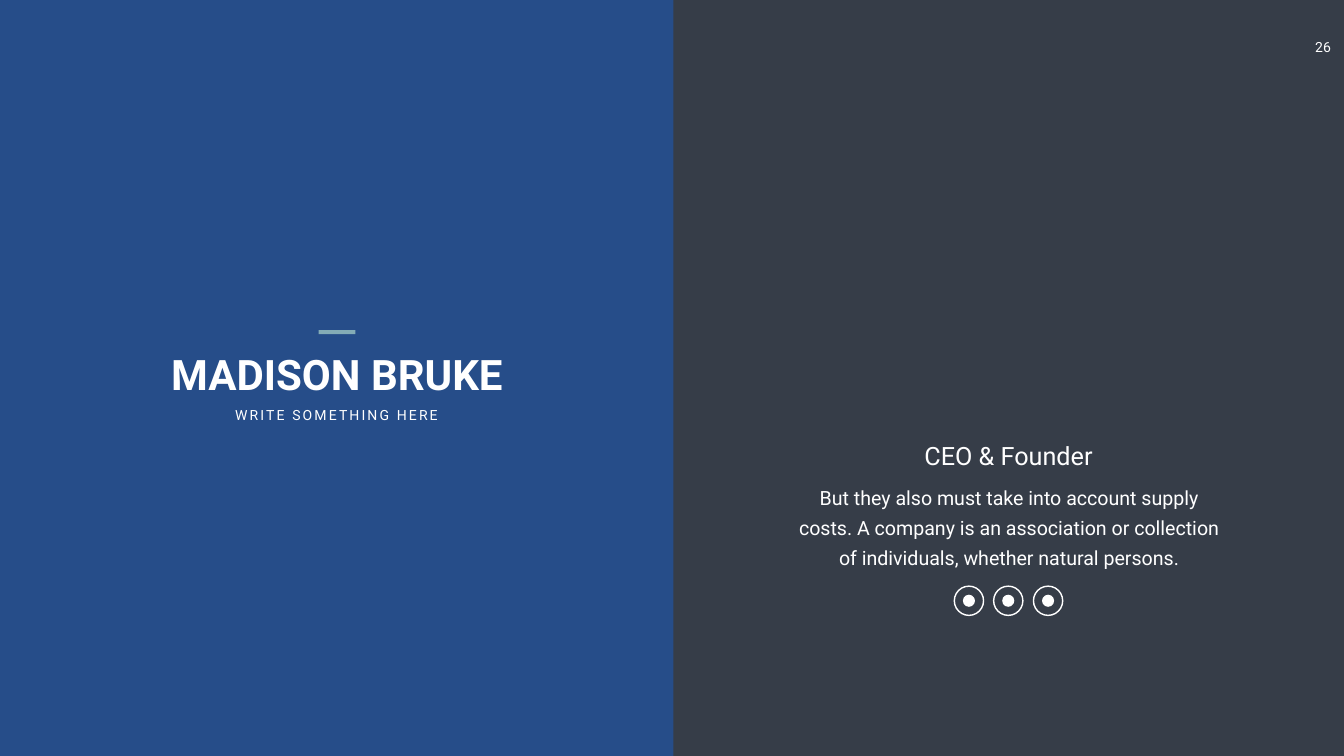
from dataclasses import dataclass

from pptx import Presentation
from pptx.dml.color import RGBColor
from pptx.enum.shapes import MSO_SHAPE as Preset
from pptx.enum.text import MSO_ANCHOR as Anchor, MSO_AUTO_SIZE as AutoSize, PP_ALIGN as Align
from pptx.shapes.autoshape import Shape
from pptx.slide import Slide
from pptx.util import Emu, Pt

PX = 9144  # EMU per px, 100 px to the inch
FONT = "Roboto"
WHITE, NAVY, SLATE, TEAL = "FFFFFF", "264D89", "363D48", "84ACB6"


@dataclass(frozen=True)
class Box:
    left: int
    top: int
    width: int
    height: int

    def emu(self) -> tuple[Emu, ...]:
        return tuple(Emu(v * PX) for v in (self.left, self.top, self.width, self.height))


@dataclass(frozen=True)
class Label:
    text: str
    box: Box
    size: int
    bold: bool = False
    wrap: bool = False
    margin_x: int = 10
    margin_y: int = 5
    line_pt: int | None = None
    tracking_pt: int = 0


PERSON = Label("MADISON BRUKE", Box(256, 686, 825, 111), 60, bold=True, wrap=True)
LABELS = (
    Label("26", Box(2579, 67, 91, 54), 20, margin_x=20, margin_y=10),
    Label("WRITE SOMETHING HERE", Box(450, 801, 435, 44), 20, tracking_pt=3),
    Label("But they also must take into account supply costs. A company is an association "
          "or collection of individuals, whether natural persons.",
          Box(1555, 939, 893, 200), 28, wrap=True, margin_x=24, margin_y=12, line_pt=43),
    Label("CEO & Founder", Box(1814, 869, 373, 71), 36),
)

# Social buttons: three evenly spaced rings, each around a dot
BUTTON_CENTRES = [1922 + i * 157 // 2 for i in range(3)]
BUTTON_Y, RING, DOT = 1192, 58, 24


def rgb(hex_colour: str) -> RGBColor:
    return RGBColor.from_string(hex_colour)


def add_preset(slide: Slide, preset: Preset, box: Box, fill: str | None = None,
               line: str | None = None) -> Shape:
    shape = slide.shapes.add_shape(preset, *box.emu())
    shape.shadow.inherit = False
    if fill:
        shape.fill.solid()
        shape.fill.fore_color.rgb = rgb(fill)
    else:
        shape.fill.background()
    if line:
        shape.line.color.rgb = rgb(line)
        shape.line.width = Pt(2)
    else:
        shape.line.fill.background()
    return shape


def write_label(shape: Shape, label: Label) -> None:
    shape.left, shape.top, shape.width, shape.height = label.box.emu()
    frame = shape.text_frame
    frame.text = label.text
    frame.auto_size = AutoSize.NONE
    frame.word_wrap = label.wrap
    frame.vertical_anchor = Anchor.TOP
    frame.margin_left = frame.margin_right = Emu(label.margin_x * PX)
    frame.margin_top = frame.margin_bottom = Emu(label.margin_y * PX)
    paragraph = frame.paragraphs[0]
    paragraph.alignment = Align.CENTER
    if label.line_pt:
        paragraph.line_spacing = Pt(label.line_pt)
    font = paragraph.font
    font.name, font.size, font.bold = FONT, Pt(label.size), label.bold
    font.color.rgb = rgb(WHITE)
    if label.tracking_pt:
        paragraph.runs[0]._r.get_or_add_rPr().set("spc", str(label.tracking_pt * 100))


def add_button(slide: Slide, centre_x: int) -> None:
    for size, fill, line in ((RING, None, WHITE), (DOT, WHITE, None)):
        box = Box(centre_x - size // 2, BUTTON_Y - size // 2, size, size)
        add_preset(slide, Preset.OVAL, box, fill, line)


def main() -> None:
    deck = Presentation()
    deck.slide_width, deck.slide_height = Emu(2666 * PX), Emu(1500 * PX)
    slide = deck.slides.add_slide(deck.slide_layouts[5])
    slide.background.fill.solid()
    slide.background.fill.fore_color.rgb = rgb(SLATE)

    # Left panel, placed behind the title, with its accent bar
    panel = add_preset(slide, Preset.RECTANGLE, Box(0, 0, 1336, 1500), NAVY)
    title = slide.shapes.title
    title._element.addprevious(panel._element)
    write_label(title, PERSON)
    add_preset(slide, Preset.RECTANGLE, Box(632, 655, 73, 8), TEAL)

    # Page number, subtitle and role description
    for label in LABELS:
        write_label(slide.shapes.add_textbox(*label.box.emu()), label)

    # Social buttons
    for centre_x in BUTTON_CENTRES:
        add_button(slide, centre_x)

    deck.save("out.pptx")


if __name__ == "__main__":
    main()
